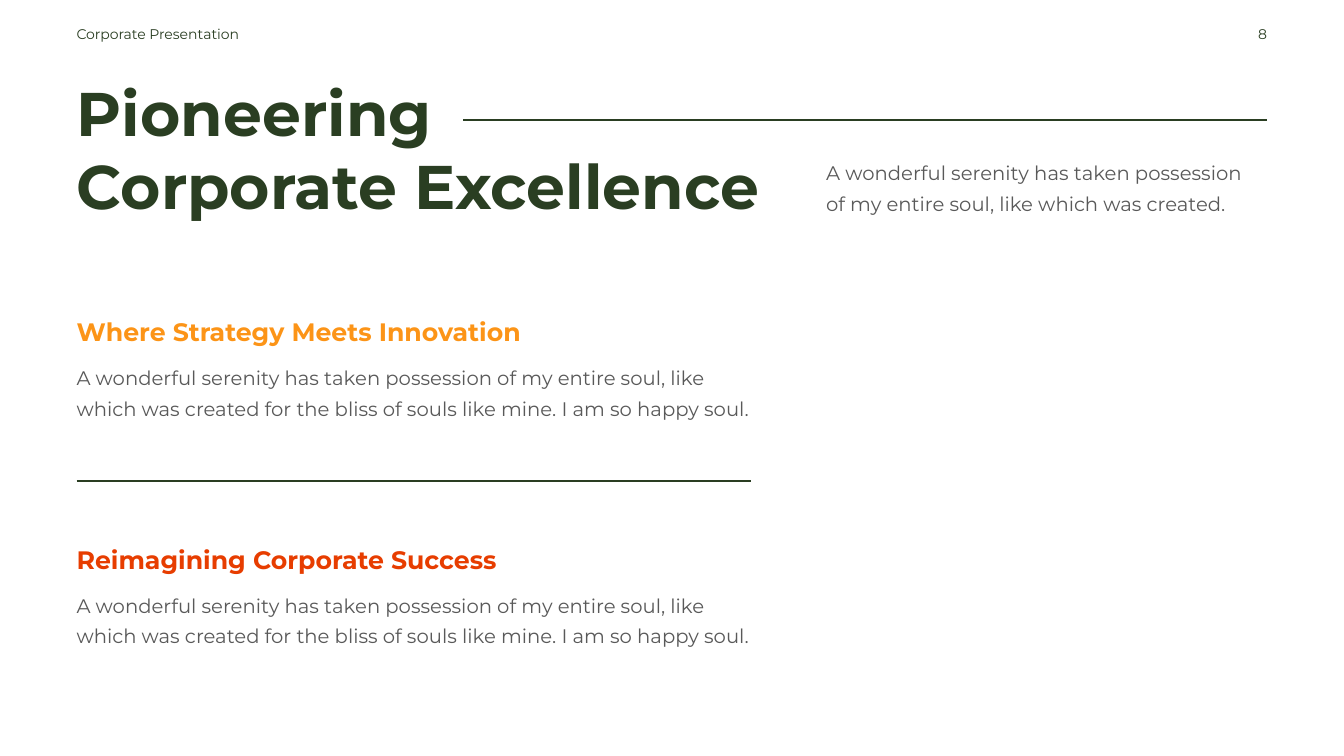
from lxml import etree
from pptx import Presentation
from pptx.dml.color import RGBColor
from pptx.enum.shapes import MSO_CONNECTOR
from pptx.enum.text import MSO_ANCHOR, MSO_AUTO_SIZE, PP_ALIGN
from pptx.oxml.ns import qn
from pptx.util import Cm, Pt

STRAIGHT = MSO_CONNECTOR.STRAIGHT
TOP = MSO_ANCHOR.TOP
NO_FIT = MSO_AUTO_SIZE.NONE
LEFT, RIGHT = PP_ALIGN.LEFT, PP_ALIGN.RIGHT

GREEN = RGBColor(0x2A, 0x3E, 0x22)
GREY = RGBColor(0x59, 0x59, 0x59)
ORANGE = RGBColor(0xFC, 0x94, 0x17)
RED = RGBColor(0xE7, 0x3D, 0x00)

FONT = "Montserrat"
MARGIN = 1.68
HEADER_TOP = 0.53
INTRO = "A wonderful serenity has taken possession of my entire soul, like which was created."
BODY = ("A wonderful serenity has taken possession of my entire soul, like which "
        "was created for the bliss of souls like mine. I am so happy soul.")
SECTIONS = [
    (7.85, "Where Strategy Meets Innovation", ORANGE),
    (13.59, "Reimagining Corporate Success", RED),
]


def format_text(sp, text, size, color, bold=False, align=LEFT, spacing=1.0):
    tf = sp.text_frame
    tf.text = text
    tf.word_wrap = True
    tf.auto_size = NO_FIT
    tf.vertical_anchor = TOP
    p = tf.paragraphs[0]
    p.alignment = align
    p.line_spacing = spacing
    font = p.runs[0].font
    font.name = FONT
    font.size = Pt(size)
    font.bold = bold
    font.color.rgb = color


def add_text(s, left, top, width, height, text, size, color, **style):
    sp = s.shapes.add_textbox(Cm(left), Cm(top), Cm(width), Cm(height))
    format_text(sp, text, size, color, **style)


def add_body(s, left, top, width, text):
    add_text(s, left, top, width, 1.75, text, 14, GREY, spacing=1.3)


def add_rule(s, left, right, top):
    rule = s.shapes.add_connector(STRAIGHT, Cm(left), Cm(top), Cm(right), Cm(top))
    rule.line.color.rgb = GREEN
    rule.line.width = Pt(1)
    etree.SubElement(rule._element.spPr, qn("a:effectLst"))


def set_title(s, text):
    title = s.shapes.title
    title.left, title.top = Cm(MARGIN), Cm(1.75)
    title.width, title.height = Cm(17.93), Cm(4.01)
    format_text(title, text, 44, GREEN, bold=True)


def add_section(s, top, heading, color):
    add_text(s, MARGIN, top, 12.09, 1.02, heading, 18, color, bold=True)
    add_body(s, MARGIN, top + 1.07, 17.81, BODY)


def main():
    prs = Presentation()
    prs.slide_width, prs.slide_height = Cm(33.87), Cm(19.05)
    s = prs.slides.add_slide(prs.slide_layouts[5])

    add_text(s, MARGIN, HEADER_TOP, 5.11, 0.69, "Corporate Presentation", 10, GREEN)
    add_text(s, 24.56, HEADER_TOP, 7.62, 0.69, "8", 10, GREEN, align=RIGHT)
    set_title(s, "Pioneering Corporate Excellence")
    add_rule(s, 11.68, 31.93, 3.02)
    add_body(s, 20.57, 3.76, 11.38, INTRO)
    for top, heading, color in SECTIONS:
        add_section(s, top, heading, color)
    add_rule(s, 1.93, 18.92, 12.12)

    prs.save("out.pptx")


if __name__ == "__main__":
    main()
